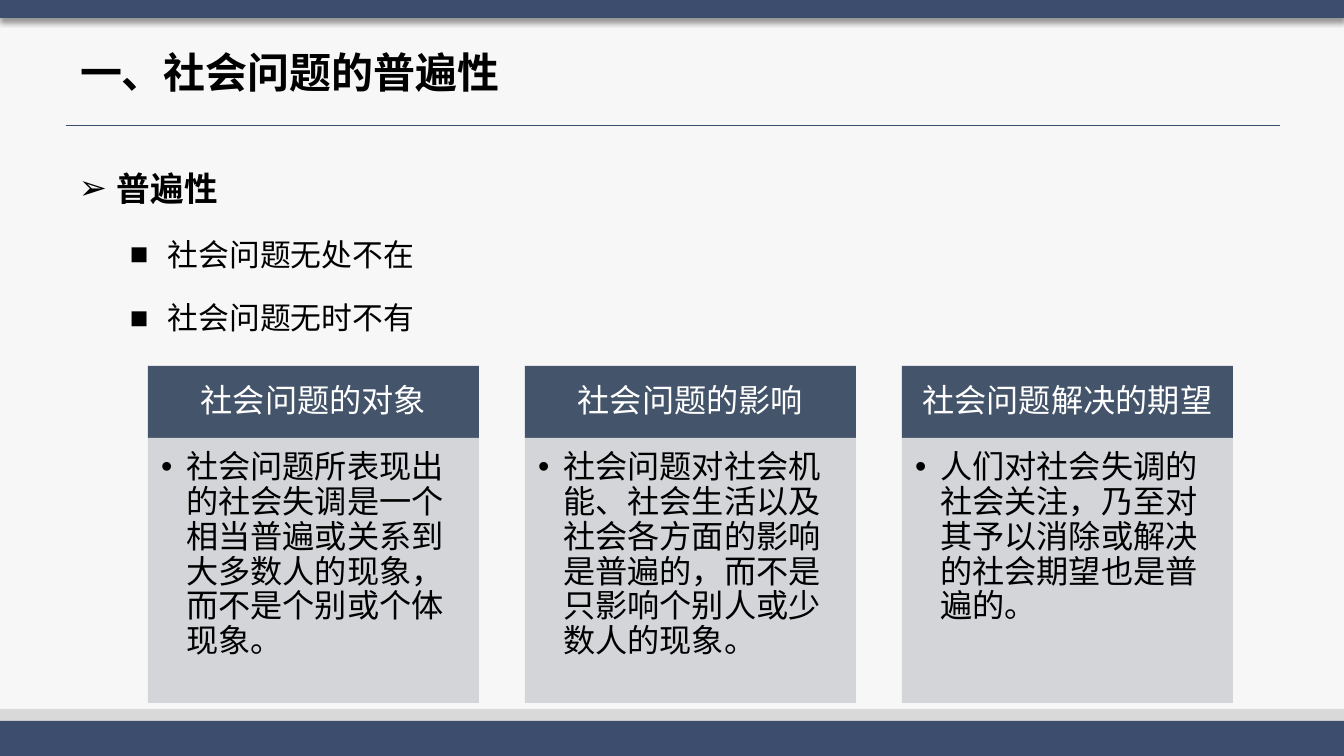
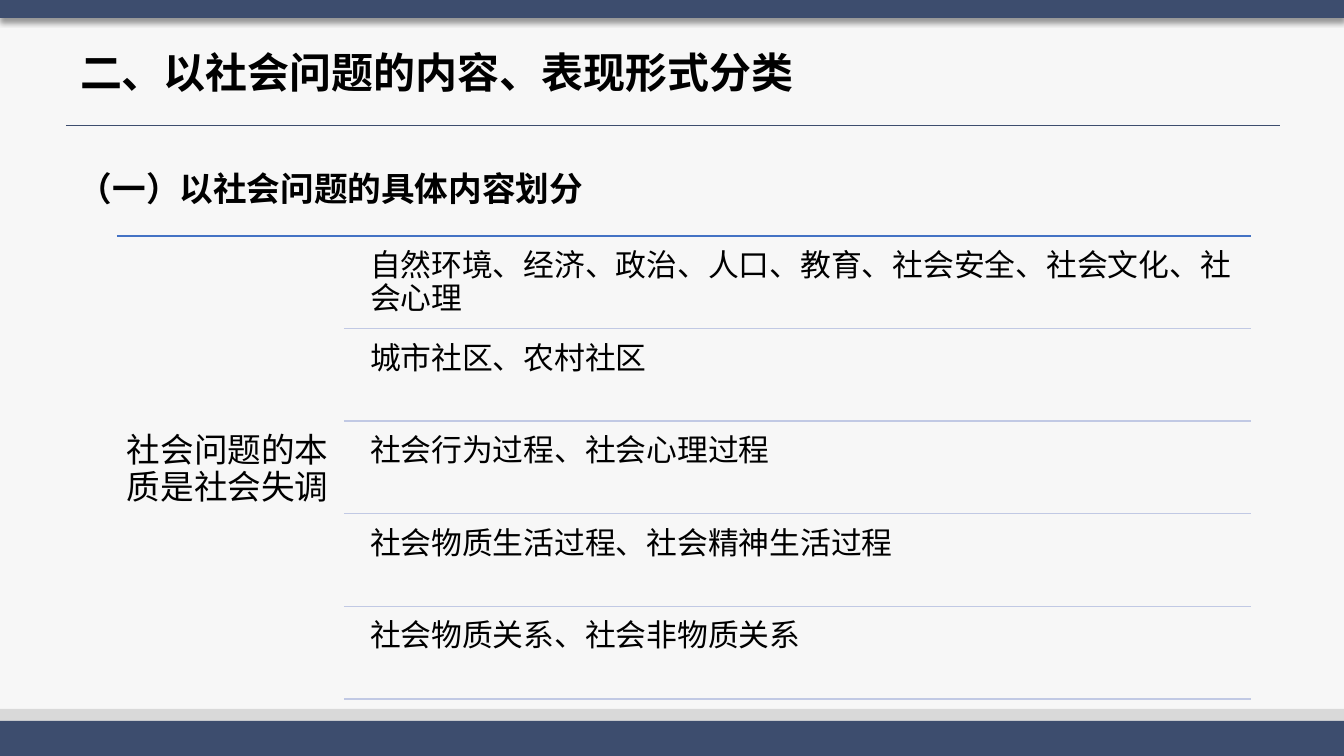
from lxml import etree
from pptx import Presentation
from pptx.dml.color import RGBColor
from pptx.enum.shapes import MSO_CONNECTOR, MSO_SHAPE
from pptx.enum.text import MSO_ANCHOR, MSO_AUTO_SIZE, PP_ALIGN
from pptx.oxml.ns import qn
from pptx.util import Emu, Pt

RECTANGLE = MSO_SHAPE.RECTANGLE
STRAIGHT = MSO_CONNECTOR.STRAIGHT
TOP, MIDDLE = MSO_ANCHOR.TOP, MSO_ANCHOR.MIDDLE
LEFT, CENTER = PP_ALIGN.LEFT, PP_ALIGN.CENTER

WIDTH, HEIGHT = 1344, 756
EMU_PER_PX = 12192000 / WIDTH
CJK_FONT, LATIN_FONT = "Noto Sans CJK SC", "Calibri"
BACKGROUND, NAVY, GRAY = "F7F7F7", "3D4D6E", "D9D9D9"
CARD_HEAD, CARD_BODY = "44546A", "D3D5D8"
TOP_RULE, ROW_RULE = "4472C4", "C1C9E4"
BLACK, WHITE = "000000", "FFFFFF"

TITLE_BOX = (70, 35, 1208, 80)
BODY_BOX = (69, 143, 1212, 537)
BANDS = [
    ((0, 709, WIDTH, 35), GRAY),
    ((0, 721, WIDTH, 35), NAVY),
    ((0, 0, WIDTH, 18), NAVY),
]

TITLE_STYLE = dict(size=30, bold=True)
HEADING_STYLE = dict(size=24, bold=True, spacing=1.5, after=6)
POINT_STYLE = dict(size=22, spacing=1.5, after=6, bullet="■", margin=89, hanging=38)
CARD_HEAD_STYLE = dict(size=23, font=LATIN_FONT, color=WHITE, align=CENTER)
CARD_BODY_STYLE = dict(size=23, font=LATIN_FONT, bullet="•", margin=25, hanging=25)
TOPIC_STYLE = dict(size=24)
ROW_STYLE = dict(size=22)

UNIVERSALITY = {
    "title": "一、社会问题的普遍性",
    "body": [
        ("普遍性", dict(HEADING_STYLE, bullet="➢", margin=38, hanging=38)),
        ("社会问题无处不在", POINT_STYLE),
        ("社会问题无时不有", POINT_STYLE),
    ],
    "cards": [
        ("社会问题的对象", "社会问题所表现出的社会失调是一个相当普遍或关系到大多数人的现象，而不是个别或个体现象。"),
        ("社会问题的影响", "社会问题对社会机能、社会生活以及社会各方面的影响是普遍的，而不是只影响个别人或少数人的现象。"),
        ("社会问题解决的期望", "人们对社会失调的社会关注，乃至对其予以消除或解决的社会期望也是普遍的。"),
    ],
}
CLASSIFICATION = {
    "title": "二、以社会问题的内容、表现形式分类",
    "body": [("（一）以社会问题的具体内容划分", HEADING_STYLE)],
    "topic": "社会问题的本质是社会失调",
    "rows": [
        "自然环境、经济、政治、人口、教育、社会安全、社会文化、社会心理",
        "城市社区、农村社区",
        "社会行为过程、社会心理过程",
        "社会物质生活过程、社会精神生活过程",
        "社会物质关系、社会非物质关系",
    ],
}


def px(value):
    return Emu(round(value * EMU_PER_PX))


def rgb(value):
    return RGBColor.from_string(value)


def set_attributes(target, values):
    for name, value in values.items():
        setattr(target, name, value)


def add_element(parent, tag, **attributes):
    return etree.SubElement(parent, qn(tag), attributes)


def write_paragraph(paragraph, text, size, bold=False, font=CJK_FONT, color=BLACK,
                    align=LEFT, spacing=0.9, after=0, bullet=None, margin=0, hanging=0):
    set_attributes(paragraph, dict(alignment=align, line_spacing=spacing, space_after=Pt(after)))
    if bullet:
        properties = paragraph._p.get_or_add_pPr()
        properties.set("marL", str(px(margin)))
        properties.set("indent", str(-px(hanging)))
        add_element(properties, "a:buFont", typeface="Arial")
        add_element(properties, "a:buChar", char=bullet)
    run = paragraph.add_run()
    run.text = text
    set_attributes(run.font, dict(size=Pt(size), bold=bold, name=font))
    run.font.color.rgb = rgb(color)
    add_element(run._r.get_or_add_rPr(), "a:ea", typeface=CJK_FONT)


def write_text(shape, paragraphs, anchor=TOP, insets=(10, 5, 10, 5)):
    frame = shape.text_frame
    left, top, right, bottom = map(px, insets)
    set_attributes(frame, dict(
        word_wrap=True, auto_size=MSO_AUTO_SIZE.NONE, vertical_anchor=anchor,
        margin_left=left, margin_top=top, margin_right=right, margin_bottom=bottom))
    for index, (text, style) in enumerate(paragraphs):
        paragraph = frame.add_paragraph() if index else frame.paragraphs[0]
        write_paragraph(paragraph, text, **style)


def add_text(slide, box, paragraphs, **layout):
    shape = slide.shapes.add_textbox(*map(px, box))
    write_text(shape, paragraphs, **layout)


def add_rectangle(slide, box, color):
    shape = slide.shapes.add_shape(RECTANGLE, *map(px, box))
    shape.shadow.inherit = False
    shape.fill.solid()
    shape.fill.fore_color.rgb = rgb(color)
    shape.line.fill.background()
    return shape


def add_rule(slide, left, right, y, color, width=1):
    rule = slide.shapes.add_connector(STRAIGHT, px(left), px(y), px(right), px(y))
    rule.line.color.rgb = rgb(color)
    rule.line.width = Pt(width)
    add_element(rule._element.spPr, "a:effectLst")


def add_drop_shadow(shape):
    effects = shape._element.spPr.find(qn("a:effectLst"))
    shadow = add_element(effects, "a:outerShdw", blurRad=str(Pt(4)), dist=str(Pt(3)),
                         dir="5400000", algn="t", rotWithShape="0")
    color = add_element(shadow, "a:srgbClr", val=BLACK)
    add_element(color, "a:alpha", val="40000")


def add_base_slide(presentation, content):
    slide = presentation.slides.add_slide(presentation.slide_layouts.get_by_name("Title Only"))
    title = slide.shapes.title
    set_attributes(title, dict(zip(("left", "top", "width", "height"), map(px, TITLE_BOX))))
    write_text(title, [(content["title"], TITLE_STYLE)], anchor=MIDDLE)
    add_text(slide, BODY_BOX, content["body"])
    bands = [add_rectangle(slide, box, color) for box, color in BANDS]
    add_drop_shadow(bands[-1])
    add_rule(slide, 66, 1280, 125, NAVY, 0.5)
    return slide


def add_cards(slide, cards):
    left, top, width, gap = 148, 366, 331, 46
    head_height, body_height = 72, 265
    for index, (heading, text) in enumerate(cards):
        x = left + index * (width + gap)
        head = add_rectangle(slide, (x, top, width, head_height), CARD_HEAD)
        write_text(head, [(heading, CARD_HEAD_STYLE)], anchor=MIDDLE, insets=(18, 10, 18, 10))
        body = add_rectangle(slide, (x, top + head_height, width, body_height), CARD_BODY)
        write_text(body, [(text, CARD_BODY_STYLE)], insets=(13, 13, 18, 20))


def add_topic_rows(slide, topic, rows):
    left, right, top, bottom = 117, 1251, 236, 699
    topic_width, row_indent, row_offset = 227, 17, 5
    divider_left = left + topic_width
    row_left = divider_left + row_indent
    pitch = (bottom - top) / len(rows)
    add_rule(slide, left, right, top, TOP_RULE)
    add_text(slide, (left, top, topic_width, 468), [(topic, TOPIC_STYLE)],
             anchor=MIDDLE, insets=(10, 10, 10, 10))
    for index, text in enumerate(rows):
        y = top + index * pitch
        add_text(slide, (row_left, y + row_offset, right - row_left, pitch - row_offset),
                 [(text, ROW_STYLE)], insets=(9, 9, 9, 9))
        add_rule(slide, divider_left, right, y + pitch, ROW_RULE)


def main():
    presentation = Presentation()
    set_attributes(presentation, dict(slide_width=px(WIDTH), slide_height=px(HEIGHT)))
    background = presentation.slide_master.background.fill
    background.solid()
    background.fore_color.rgb = rgb(BACKGROUND)
    add_cards(add_base_slide(presentation, UNIVERSALITY), UNIVERSALITY["cards"])
    add_topic_rows(add_base_slide(presentation, CLASSIFICATION),
                   CLASSIFICATION["topic"], CLASSIFICATION["rows"])
    presentation.save("out.pptx")


if __name__ == "__main__":
    main()
